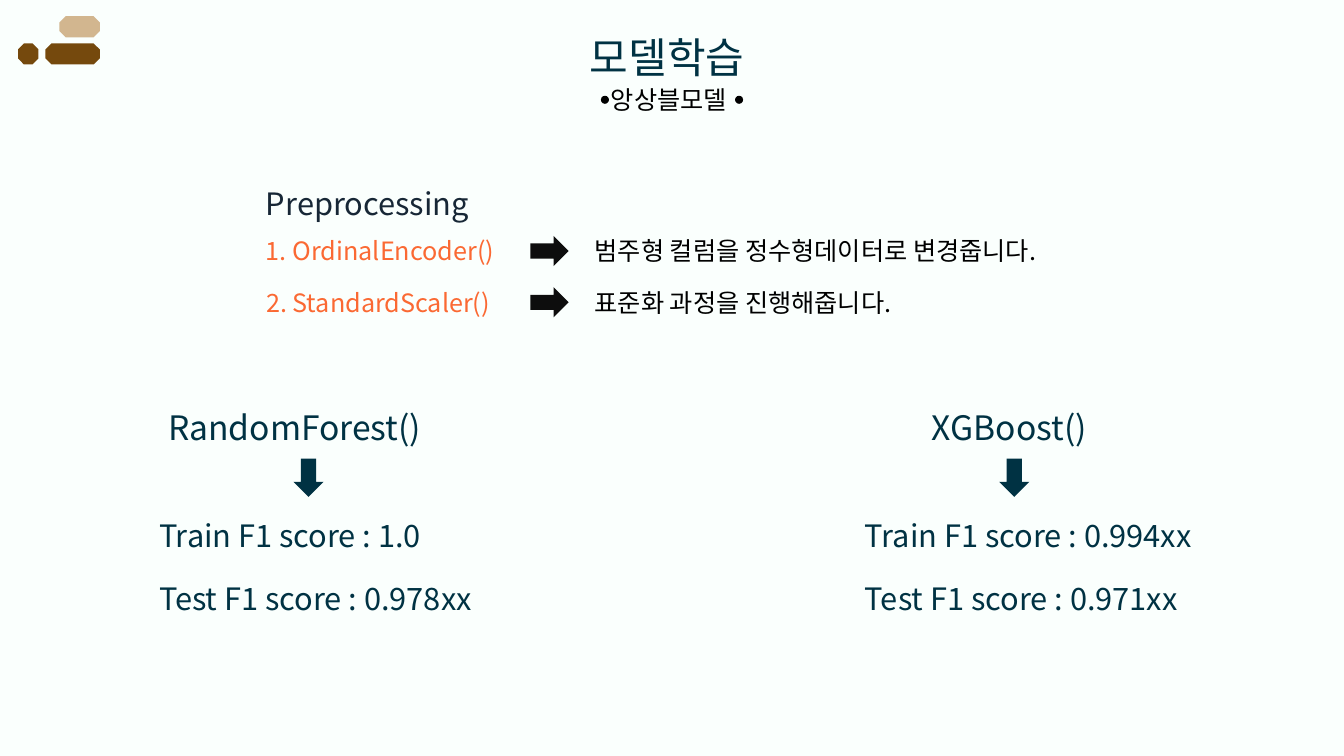
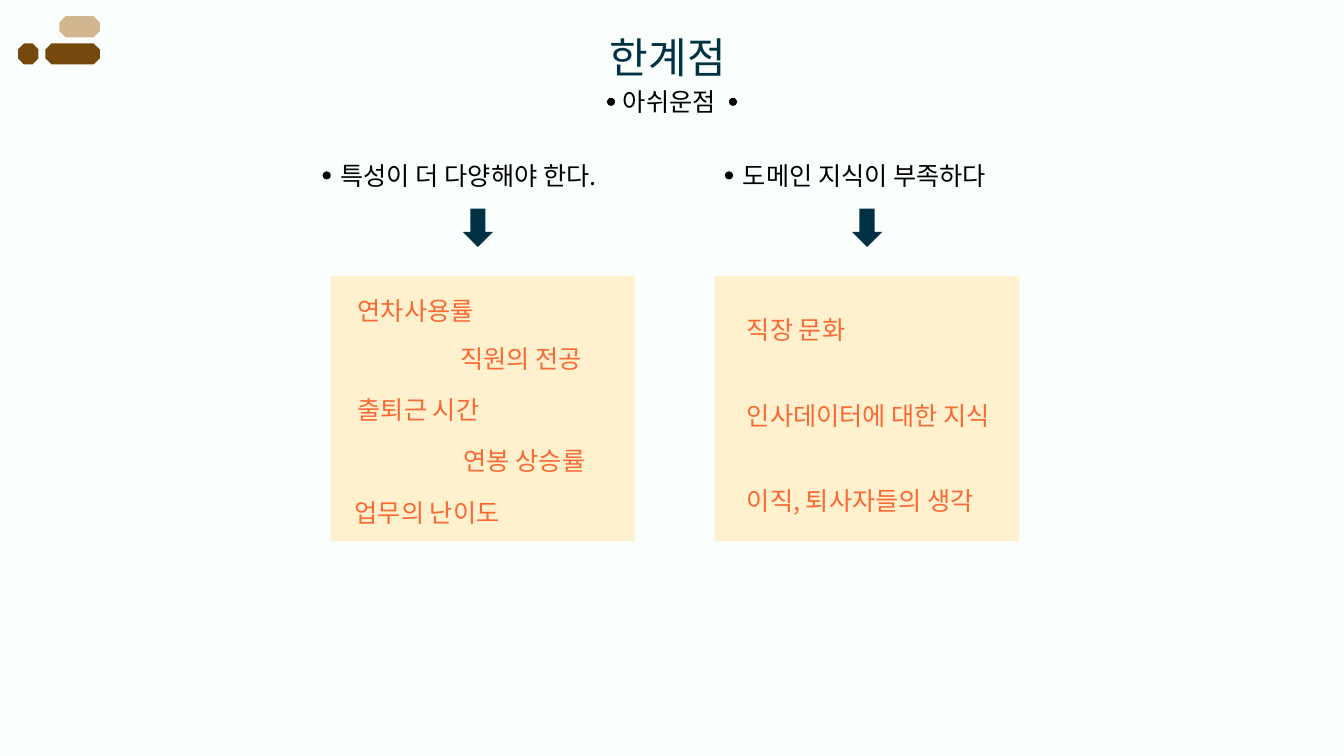
from pptx import Presentation
from pptx.dml.color import RGBColor
from pptx.enum.shapes import MSO_SHAPE
from pptx.enum.text import MSO_ANCHOR, MSO_AUTO_SIZE, PP_ALIGN
from pptx.oxml.ns import qn
from pptx.util import Inches, Pt
from lxml.etree import SubElement

FONT = "Noto Sans CJK KR"
BACKGROUND = "FAFFFD"
NAVY = "003243"
INK = "172736"
BLACK = "000000"
ARROW_BLACK = "0D0D0D"
ORANGE = "FA6933"
CREAM = "FFF1CD"
BROWN = "75490D"
TAN = "D2B68F"

DOT_SIZE = 0.08
DOT_DROP = 0.16
ARROW_LENGTH = 0.38
ARROW_BREADTH = 0.3
TEXT_HEIGHT = {18: 0.4, 22: 0.47, 24: 0.5, 30: 0.61}


def color(hex_string):
    return RGBColor.from_string(hex_string)


def write_text(shape, text, size, hex_string):
    frame = shape.text_frame
    frame.text = text
    frame.word_wrap = True
    frame.auto_size = MSO_AUTO_SIZE.NONE
    frame.vertical_anchor = MSO_ANCHOR.TOP
    paragraph = frame.paragraphs[0]
    paragraph.alignment = PP_ALIGN.LEFT
    run = paragraph.runs[0]
    run.font.name = FONT
    run.font.size = Pt(size)
    run.font.color.rgb = color(hex_string)
    east_asian = SubElement(run.font._element, qn("a:ea"))
    east_asian.set("typeface", FONT)


def add_text(slide, left, top, width, text, size=18, hex_string=BLACK):
    shape = slide.shapes.add_textbox(
        Inches(left), Inches(top), Inches(width), Inches(TEXT_HEIGHT[size]))
    write_text(shape, text, size, hex_string)


def add_filled(shapes, kind, left, top, width, height, hex_string):
    shape = shapes.add_shape(
        kind, Inches(left), Inches(top), Inches(width), Inches(height))
    shape.shadow.inherit = False
    shape.fill.solid()
    shape.fill.fore_color.rgb = color(hex_string)
    shape.line.fill.background()


def add_dot(slide, left, text_top):
    add_filled(slide.shapes, MSO_SHAPE.OVAL, left, text_top + DOT_DROP,
               DOT_SIZE, DOT_SIZE, BLACK)


def add_down_arrow(slide, center, top):
    add_filled(slide.shapes, MSO_SHAPE.DOWN_ARROW, center - ARROW_BREADTH / 2,
               top, ARROW_BREADTH, ARROW_LENGTH, NAVY)


def add_corner_ornament(slide, left, top):
    group = slide.shapes.add_group_shape()
    for offset, drop, width, hex_string in (
            (0.27, 0.27, 0.54, BROWN), (0, 0.27, 0.2, BROWN), (0.41, 0, 0.4, TAN)):
        add_filled(group.shapes, MSO_SHAPE.OCTAGON, left + offset, top + drop,
                   width, 0.21, hex_string)


def add_titled_slide(presentation, title, left, width):
    slide = presentation.slides.add_slide(presentation.slide_layouts[5])
    placeholder = slide.shapes.title
    placeholder.left, placeholder.top = Inches(left), Inches(0.26)
    placeholder.width, placeholder.height = Inches(width), Inches(TEXT_HEIGHT[30])
    write_text(placeholder, title, 30, NAVY)
    add_corner_ornament(slide, 0.18, 0.16)
    return slide


def add_subtitle(slide, left, top, width, text, dot_inset):
    add_text(slide, left, top, width, text)
    add_dot(slide, left + dot_inset, top)
    add_dot(slide, left + width - DOT_SIZE - dot_inset, top)


def add_preprocessing(slide, left, top):
    add_text(slide, left, top, 2.5, "Preprocessing", 22, INK)
    steps = (("1. OrdinalEncoder()", 2.6, "범주형 컬럼을 정수형데이터로 변경줍니다.", 4.86),
             ("2. StandardScaler()", 2.69, "표준화 과정을 진행해줍니다.", 3.39))
    for index, (step, step_width, effect, effect_width) in enumerate(steps):
        row_top = top + 0.51 * (index + 1)
        add_text(slide, left, row_top, step_width, step, hex_string=ORANGE)
        add_filled(slide.shapes, MSO_SHAPE.RIGHT_ARROW, left + 2.72,
                   row_top + 0.05, ARROW_LENGTH, ARROW_BREADTH, ARROW_BLACK)
        add_text(slide, left + 3.26, row_top, effect_width, effect)


def add_model(slide, left, top, name, name_width, scores):
    center = left + 1.58
    add_text(slide, center - name_width / 2, top, name_width, name, 24, NAVY)
    add_down_arrow(slide, center, top + 0.56)
    for index, (score, width) in enumerate(scores):
        add_text(slide, left, top + 1.09 + 0.62 * index, width, score, 22, NAVY)


def add_limit(slide, left, top, heading, heading_left, heading_width, center, items):
    add_dot(slide, heading_left - DOT_SIZE, top)
    add_text(slide, heading_left, top, heading_width, heading)
    add_down_arrow(slide, center, top + 0.53)
    panel_top = top + 1.2
    add_filled(slide.shapes, MSO_SHAPE.RECTANGLE, left, panel_top, 3.02, 2.63, CREAM)
    for text, offset, drop, width in items:
        add_text(slide, left + offset, panel_top + drop, width, text,
                 hex_string=ORANGE)


def build_training(presentation):
    slide = add_titled_slide(presentation, "모델학습", 5.75, 1.83)
    add_subtitle(slide, 5.96, 0.79, 1.41, "앙상블모델", 0)
    add_preprocessing(slide, 2.54, 1.78)
    add_model(slide, 1.48, 3.99, "RandomForest()", 2.98,
              (("Train F1 score : 1.0", 3.16), ("Test F1 score : 0.978xx", 3.87)))
    add_model(slide, 8.48, 3.99, "XGBoost()", 1.83,
              (("Train F1 score : 0.994xx", 3.99), ("Test F1 score : 0.971xx", 3.8)))


def build_limits(presentation):
    slide = add_titled_slide(presentation, "한계점", 5.95, 1.44)
    add_subtitle(slide, 6.08, 0.81, 1.17, "아쉬운점", -0.06)
    add_limit(slide, 3.28, 1.54, "특성이 더 다양해야 한다.", 3.28, 2.93, 4.74,
              (("연차사용률", 0.17, 0.14, 1.41),
               ("직원의 전공", 1.19, 0.62, 1.57),
               ("출퇴근 시간", 0.17, 1.12, 1.51),
               ("연봉 상승률", 1.22, 1.63, 1.51),
               ("업무의 난이도", 0.14, 2.14, 1.77)))
    culture_items = (("직장 문화", 1.25), ("인사데이터에 대한 지식", 2.78),
                     ("이직, 퇴사자들의 생각", 2.6))
    add_limit(slide, 7.09, 1.54, "도메인 지식이 부족하다", 7.27, 2.78, 8.6,
              [(text, 0.22, 0.33 + 0.85 * index, width)
               for index, (text, width) in enumerate(culture_items)])


presentation = Presentation()
presentation.slide_width = Inches(13.33)
presentation.slide_height = Inches(7.5)
background = presentation.slide_master.background.fill
background.solid()
background.fore_color.rgb = color(BACKGROUND)
build_training(presentation)
build_limits(presentation)
presentation.save("out.pptx")
